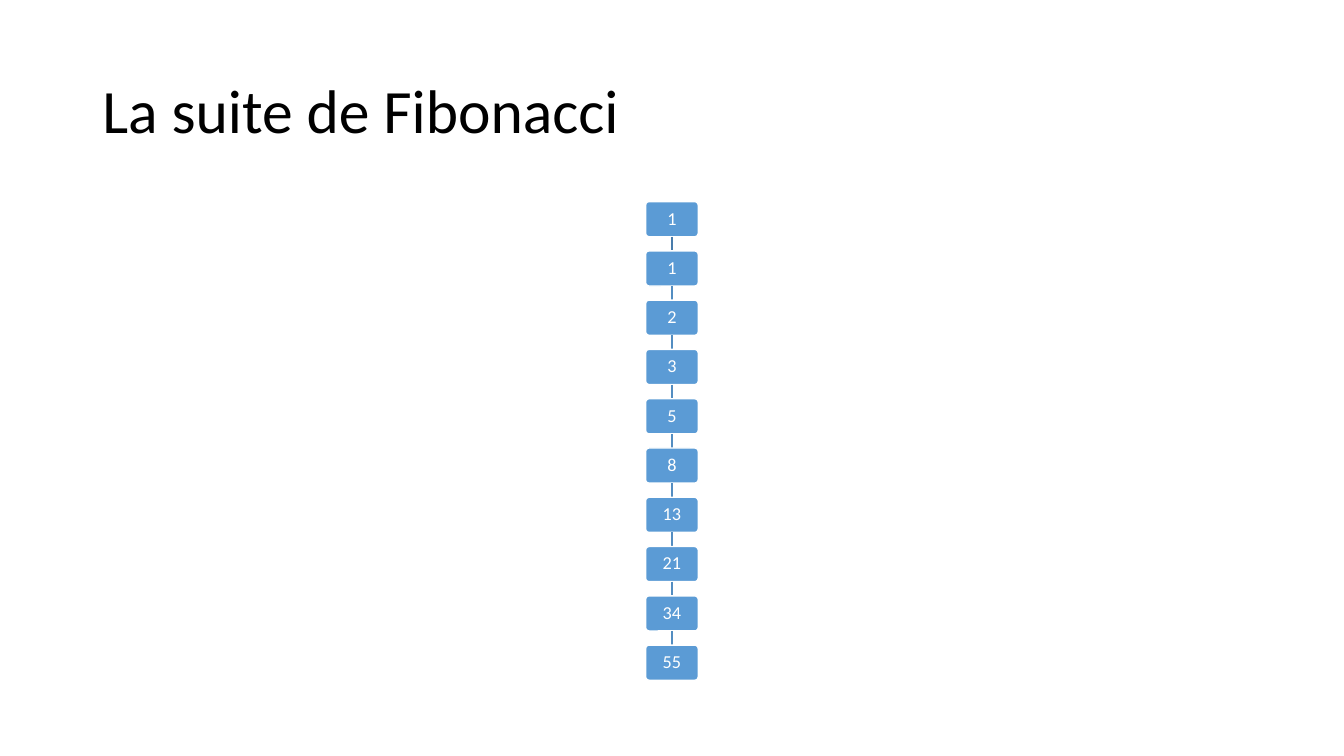
from dataclasses import dataclass

from lxml.etree import SubElement
from pptx import Presentation
from pptx.dml.color import RGBColor
from pptx.enum.shapes import MSO_CONNECTOR, MSO_SHAPE
from pptx.enum.text import MSO_ANCHOR, PP_ALIGN
from pptx.oxml.ns import qn
from pptx.slide import Slide
from pptx.text.text import TextFrame
from pptx.util import Pt


@dataclass(frozen=True)
class Theme:
    font: str = "Calibri"
    title_size: float = 44
    node_size: float = 13
    black: str = "000000"
    white: str = "FFFFFF"
    node: str = "5B9BD5"
    first_link: str = "497CAB"
    link: str = "538DC1"


@dataclass(frozen=True)
class Node:
    value: int
    top: float
    link_color: str


THEME = Theme()

# Vertical chain of numbers, in points
CENTER_X = 480
FIRST_TOP = 144
PITCH = 35.2
NODE_WIDTH = 37.6
NODE_HEIGHT = 25.1
NODE_COUNT = 10


def fibonacci(count: int) -> list[int]:
    values = [1, 1]
    while len(values) < count:
        values.append(values[-2] + values[-1])
    return values


def write_text(frame: TextFrame, text: str, *, size: float, color: str,
               align: PP_ALIGN = PP_ALIGN.LEFT, inset_x: float = 7.2,
               inset_y: float = 3.6) -> None:
    frame.word_wrap = True
    frame.vertical_anchor = MSO_ANCHOR.MIDDLE
    frame.margin_left = frame.margin_right = Pt(inset_x)
    frame.margin_top = frame.margin_bottom = Pt(inset_y)
    para = frame.paragraphs[0]
    para.alignment = align
    para.line_spacing = 0.9
    span = para.add_run()
    span.text = text
    span.font.name = THEME.font
    span.font.size = Pt(size)
    span.font.color.rgb = RGBColor.from_string(color)


def draw_node(page: Slide, node: Node) -> None:
    box = page.shapes.add_shape(
        MSO_SHAPE.ROUNDED_RECTANGLE, Pt(CENTER_X - NODE_WIDTH / 2), Pt(node.top),
        Pt(NODE_WIDTH), Pt(NODE_HEIGHT))
    box.adjustments[0] = 0.1
    box.shadow.inherit = False
    box.fill.solid()
    box.fill.fore_color.rgb = RGBColor.from_string(THEME.node)
    box.line.color.rgb = RGBColor.from_string(THEME.white)
    box.line.width = Pt(1)
    write_text(box.text_frame, str(node.value), size=THEME.node_size,
               color=THEME.white, align=PP_ALIGN.CENTER, inset_x=3.6)


def draw_link(page: Slide, node: Node) -> None:
    link = page.shapes.add_connector(
        MSO_CONNECTOR.STRAIGHT, Pt(CENTER_X), Pt(node.top + NODE_HEIGHT),
        Pt(CENTER_X), Pt(node.top + PITCH))
    link.line.color.rgb = RGBColor.from_string(node.link_color)
    link.line.width = Pt(1)
    SubElement(link._element.spPr, qn("a:effectLst"))


def main() -> None:
    deck = Presentation()
    deck.slide_width, deck.slide_height = Pt(960), Pt(540)
    page = deck.slides.add_slide(deck.slide_layouts[6])

    # Title
    title = page.shapes.add_textbox(Pt(66), Pt(28.75), Pt(828), Pt(104.4))
    write_text(title.text_frame, "La suite de Fibonacci",
               size=THEME.title_size, color=THEME.black)

    # Chain of nodes, each linked to the next
    nodes = [
        Node(value, FIRST_TOP + index * PITCH,
             THEME.link if index else THEME.first_link)
        for index, value in enumerate(fibonacci(NODE_COUNT))
    ]
    for node in nodes:
        draw_node(page, node)
        if node is not nodes[-1]:
            draw_link(page, node)

    deck.save("out.pptx")


if __name__ == "__main__":
    main()
